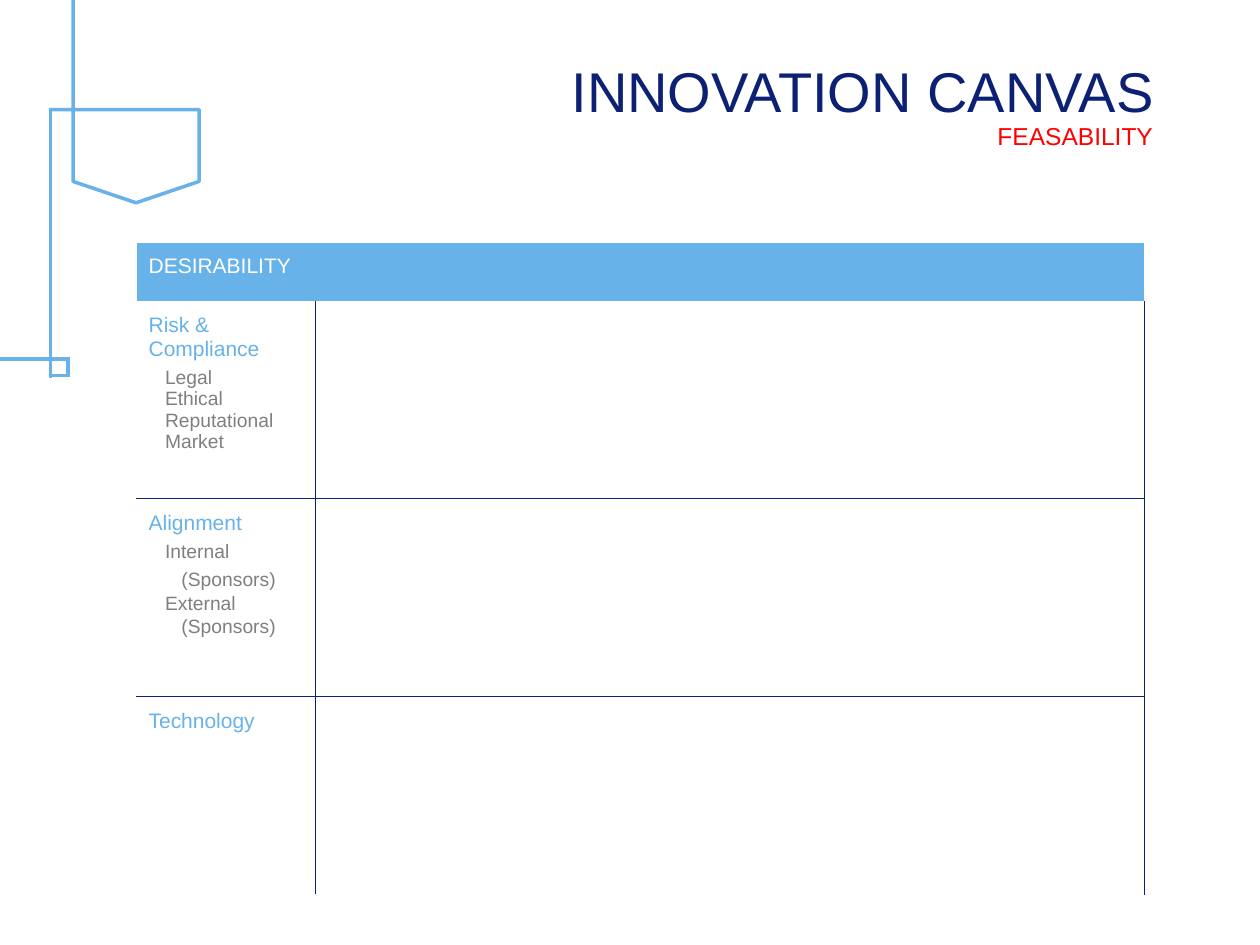
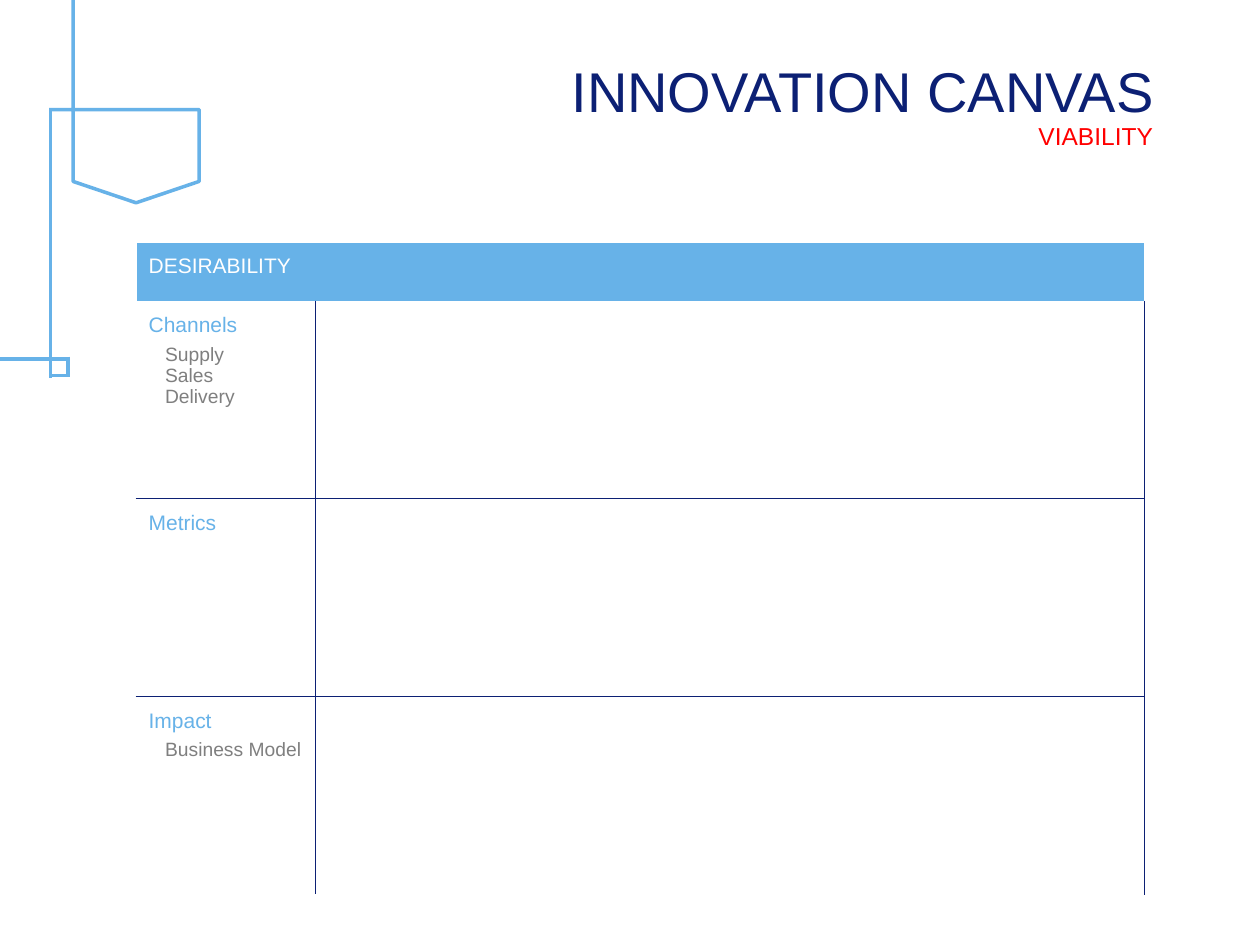
from dataclasses import dataclass
from typing import Any, NamedTuple

from lxml.etree import SubElement
from pptx import Presentation
from pptx.dml.color import RGBColor
from pptx.enum.shapes import MSO_CONNECTOR
from pptx.enum.text import MSO_ANCHOR, PP_ALIGN
from pptx.oxml.ns import qn
from pptx.util import Inches, Pt


@dataclass(frozen=True)
class Theme:
    sky: str = "67B2E8"
    navy: str = "0C2074"
    red: str = "FF0000"
    gray: str = "7F7F7F"
    white: str = "FFFFFF"
    font: str = "Arial"
    title_size: int = 32
    subtitle_size: int = 14
    heading_size: int = 12
    item_size: int = 11
    ornament_width: float = 2
    border_width: float = 0.5


THEME = Theme()


class Entry(NamedTuple):
    text: str
    spacing: float = 1.0
    level: int = 1


class Topic(NamedTuple):
    heading: str
    entries: tuple[Entry, ...] = ()


class Canvas(NamedTuple):
    subtitle: str
    topics: tuple[Topic, ...]


class Segment(NamedTuple):
    x1: float
    y1: float
    x2: float
    y2: float


TITLE = "INNOVATION CANVAS"
TABLE_HEADER = "DESIRABILITY"
CANVASES = (
    Canvas("FEASABILITY", (
        Topic("Risk & Compliance", (
            Entry("Legal", 1.3), Entry("Ethical"), Entry("Reputational"), Entry("Market"))),
        Topic("Alignment", (
            Entry("Internal", 1.3), Entry("(Sponsors)", 1.3, 2),
            Entry("External", 1.1), Entry("(Sponsors)", 1.1, 2))),
        Topic("Technology"),
    )),
    Canvas("VIABILITY", (
        Topic("Channels", (Entry("Supply", 1.3), Entry("Sales"), Entry("Delivery"))),
        Topic("Metrics"),
        Topic("Impact", (Entry("Business Model", 1.3),)),
    )),
)
ORNAMENT_LINES = (
    Segment(0.4, 0.86, 0.4, 3),
    Segment(0.55, 2.98, 0.39, 2.98),
    Segment(0.54, 2.83, 0.54, 2.99),
    Segment(0.55, 2.85, 0, 2.85),
)
POCKET_OUTLINE = ((0.58, 0), (0.58, 1.44), (1.08, 1.61), (1.58, 1.44), (1.58, 0.87), (0.39, 0.87))
COLUMN_WIDTHS = (1.42, 6.58)
HEADER_HEIGHT = 0.47
TOPIC_HEIGHT = 1.57
ENTRY_INDENT = 0.13


def apply(target: Any, values: dict[str, Any]) -> None:
    for name, value in values.items():
        setattr(target, name, value)


def write(para: Any, text: str, size: float, color: str) -> None:
    span = para.add_run()
    span.text = text
    apply(span.font, {"name": THEME.font, "size": Pt(size), "bold": False})
    span.font.color.rgb = RGBColor.from_string(color)


def style_ornament(shape: Any) -> None:
    shape.line.color.rgb = RGBColor.from_string(THEME.sky)
    shape.line.width = Pt(THEME.ornament_width)


def draw_ornament(page: Any) -> None:
    for segment in ORNAMENT_LINES:
        connector = page.shapes.add_connector(
            MSO_CONNECTOR.STRAIGHT, *(Inches(value) for value in segment))
        SubElement(connector._element.spPr, qn("a:effectLst"))
        style_ornament(connector)
    points = [(Inches(x), Inches(y)) for x, y in POCKET_OUTLINE]
    builder = page.shapes.build_freeform(*points[0])
    builder.add_line_segments(points[1:], close=False)
    pocket = builder.convert_to_shape()
    pocket.shadow.inherit = False
    pocket.fill.background()
    style_ornament(pocket)


def draw_label(page: Any, place: tuple[float, ...], text: str, size: float,
               color: str, side_inset: float) -> None:
    box = page.shapes.add_textbox(*(Inches(value) for value in place))
    apply(box.text_frame, {
        "word_wrap": True,
        "vertical_anchor": MSO_ANCHOR.TOP,
        "margin_left": Inches(side_inset),
        "margin_right": Inches(side_inset),
        "margin_top": Inches(0.05),
        "margin_bottom": Inches(0),
    })
    para = box.text_frame.paragraphs[0]
    para.alignment = PP_ALIGN.RIGHT
    write(para, text, size, color)


def style_cell(cell: Any, fill: str, borders: dict[str, str]) -> None:
    apply(cell, {
        "margin_left": Inches(0.1),
        "margin_right": Inches(0.1),
        "margin_top": Inches(0.1),
        "margin_bottom": Inches(0.05),
    })
    properties = cell._tc.get_or_add_tcPr()
    for side, color in borders.items():
        line = SubElement(properties, qn(f"a:ln{side}"), w=str(Pt(THEME.border_width)))
        SubElement(SubElement(line, qn("a:solidFill")), qn("a:srgbClr"), val=color)
    cell.fill.solid()
    cell.fill.fore_color.rgb = RGBColor.from_string(fill)


def fill_topic(cell: Any, topic: Topic) -> None:
    frame = cell.text_frame
    write(frame.paragraphs[0], topic.heading, THEME.heading_size, THEME.sky)
    for entry in topic.entries:
        para = frame.add_paragraph()
        para._p.get_or_add_pPr().set("marL", str(Inches(ENTRY_INDENT * entry.level)))
        para.line_spacing = entry.spacing
        write(para, entry.text, THEME.item_size, THEME.gray)


def draw_table(page: Any, topics: tuple[Topic, ...]) -> None:
    heights = (HEADER_HEIGHT, *[TOPIC_HEIGHT] * len(topics))
    table = page.shapes.add_table(
        len(heights), len(COLUMN_WIDTHS), Inches(1.08), Inches(1.92),
        Inches(sum(COLUMN_WIDTHS)), Inches(sum(heights))).table
    apply(table, {"first_row": False, "horz_banding": False})
    for column, width in zip(table.columns, COLUMN_WIDTHS):
        column.width = Inches(width)
    for row, height in zip(table.rows, heights):
        row.height = Inches(height)

    for index in range(len(heights)):
        is_header = index == 0
        for column in range(len(COLUMN_WIDTHS)):
            navy_sides = {
                "L": not is_header and column > 0,
                "R": not is_header,
                "T": index > 1,
                "B": 0 < index < len(topics),
            }
            borders = {side: THEME.navy if navy else THEME.white
                       for side, navy in navy_sides.items()}
            style_cell(table.cell(index, column), THEME.sky if is_header else THEME.white, borders)

    header = table.cell(0, 0)
    header.merge(table.cell(0, 1))
    write(header.text_frame.paragraphs[0], TABLE_HEADER, THEME.heading_size, THEME.white)
    for index, topic in enumerate(topics, start=1):
        fill_topic(table.cell(index, 0), topic)


def draw_canvas(deck: Any, canvas: Canvas) -> None:
    page = deck.slides.add_slide(deck.slide_layouts[6])
    draw_ornament(page)
    draw_label(page, (1.92, 0.4, 7.24, 0.83), TITLE, THEME.title_size, THEME.navy, 0)
    draw_table(page, canvas.topics)
    draw_label(page, (7.33, 0.91, 1.92, 0.34), canvas.subtitle,
               THEME.subtitle_size, THEME.red, 0.1)


def main() -> None:
    deck = Presentation()
    apply(deck, {"slide_width": Inches(10), "slide_height": Inches(7.5)})
    for canvas in CANVASES:
        draw_canvas(deck, canvas)
    deck.save("out.pptx")


if __name__ == "__main__":
    main()
